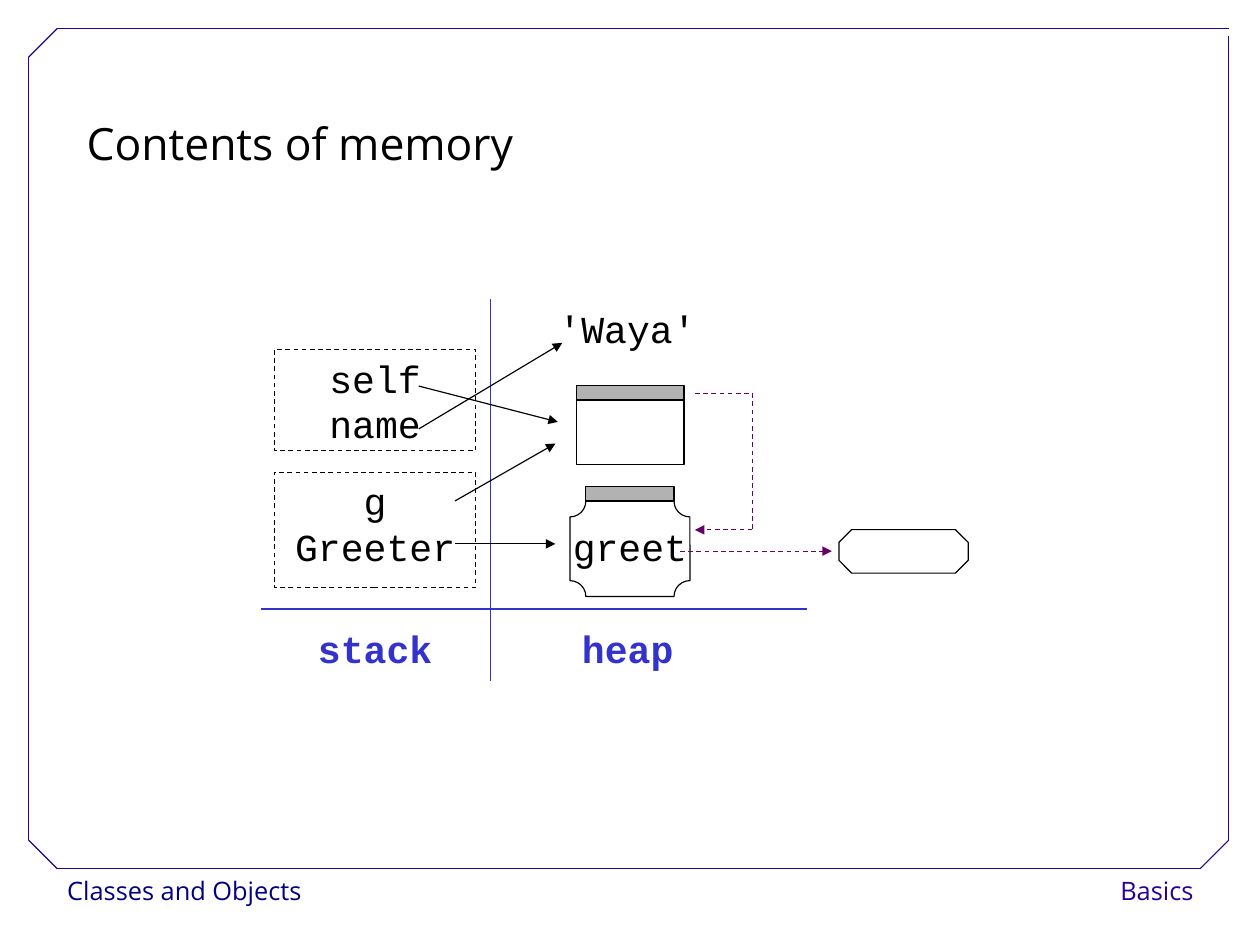
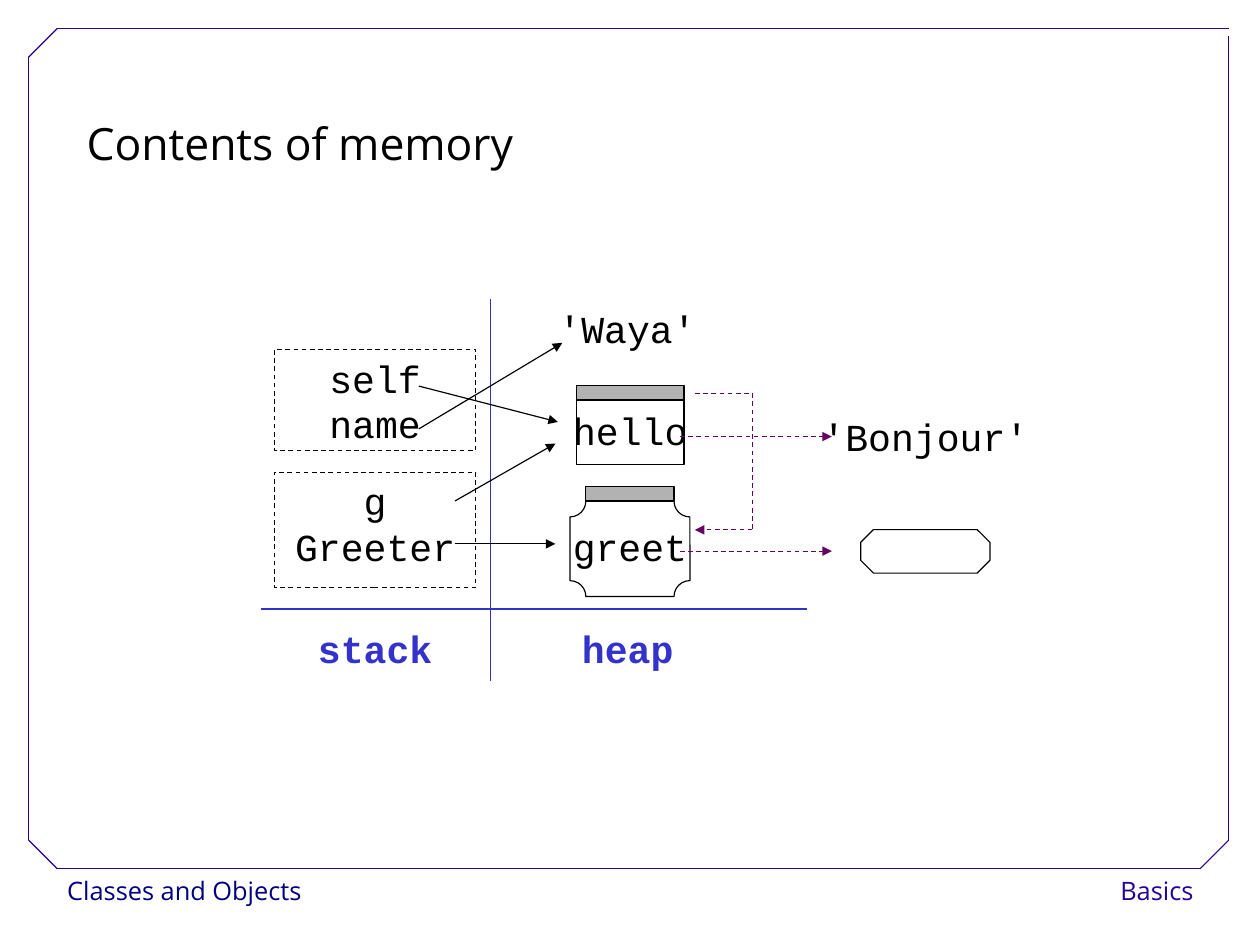
from itertools import pairwise

from pptx import Presentation
from pptx.dml.color import RGBColor
from pptx.enum.dml import MSO_LINE
from pptx.enum.shapes import MSO_CONNECTOR, MSO_SHAPE
from pptx.enum.text import MSO_ANCHOR, PP_ALIGN
from pptx.oxml.ns import qn
from pptx.util import Pt
from lxml.etree import SubElement

# Shared look
BLACK, GREY = "000000", "B2B2B2"
NAVY, INDIGO, BLUE, PURPLE = "000080", "280099", "3333CC", "660066"
SANS, MONO = "Open Sans", "Courier New"
LINE_WIDTH = 0.75

# Frame edges and the size of its cut corners
LEFT, TOP, RIGHT, BOTTOM, CUT = 18, 18, 774, 547.2, 18

# Columns of the memory diagram
STACK_LEFT, STACK_WIDTH = 172.8, 127
HEAP_LEFT = 331.9
LINK_START, LINK_END = 428.4, 524


def color(hex_string):
    return RGBColor.from_string(hex_string)


def write(shape, text, size=24, font=MONO, ink=BLACK, bold=False, spacing=1.0,
          align=PP_ALIGN.CENTER, anchor=MSO_ANCHOR.TOP, wrap=False):
    """Fill a shape with text, one paragraph per line."""
    frame = shape.text_frame
    frame.word_wrap = wrap
    frame.vertical_anchor = anchor
    frame.text = text
    for paragraph in frame.paragraphs:
        paragraph.alignment = align
        paragraph.line_spacing = spacing
        paragraph.font.size = Pt(size)
        paragraph.font.name = font
        paragraph.font.bold = bold
        paragraph.font.color.rgb = color(ink)


def label(slide, text, left, top, width, height, **text_format):
    box = slide.shapes.add_textbox(Pt(left), Pt(top), Pt(width), Pt(height))
    write(box, text, **text_format)


def outline(slide, preset, left, top, width, height, fill=None, dashed=False):
    shape = slide.shapes.add_shape(preset, Pt(left), Pt(top), Pt(width), Pt(height))
    shape.shadow.inherit = False
    if fill:
        shape.fill.solid()
        shape.fill.fore_color.rgb = color(fill)
    else:
        shape.fill.background()
    shape.line.color.rgb = color(BLACK)
    shape.line.width = Pt(LINE_WIDTH)
    if dashed:
        shape.line.dash_style = MSO_LINE.DASH
    return shape


def line(slide, start, end, ink=BLACK, dashed=False, arrow=False):
    connector = slide.shapes.add_connector(
        MSO_CONNECTOR.STRAIGHT, *(Pt(value) for value in (*start, *end)))
    connector.line.color.rgb = color(ink)
    connector.line.width = Pt(LINE_WIDTH)
    if dashed:
        connector.line.dash_style = MSO_LINE.DASH
    properties = connector._element.spPr
    if arrow:
        SubElement(properties.find(qn("a:ln")), qn("a:tailEnd"), type="triangle")
    SubElement(properties, qn("a:effectLst"))


def page(deck, title):
    """Add a slide with footers, cut-corner frame and title."""
    slide = deck.slides.add_slide(deck.slide_layouts[6])
    label(slide, "Classes and Objects", 35.3, 547.2, 180, 28.8, size=16, font=SANS,
          ink=NAVY, spacing=1.02, align=PP_ALIGN.LEFT, wrap=True)
    label(slide, "Basics", 658.1, 547.2, 100.8, 28.8, size=16, font=SANS,
          ink=INDIGO, spacing=1.02, align=PP_ALIGN.RIGHT, wrap=True)

    # The frame stays open at the top right corner
    corners = [(RIGHT, TOP), (LEFT + CUT, TOP), (LEFT, TOP + CUT),
               (LEFT, BOTTOM - CUT), (LEFT + CUT, BOTTOM),
               (RIGHT - CUT, BOTTOM), (RIGHT, BOTTOM - CUT), (RIGHT, TOP + 5)]
    for start, end in pairwise(corners):
        line(slide, start, end, ink=INDIGO)

    label(slide, title, 47.5, 52.6, 680.4, 57.6, size=28, font=SANS,
          spacing=1.5, align=PP_ALIGN.LEFT, wrap=True)
    return slide


def attribute_link(slide, y):
    line(slide, (LINK_START, y), (LINK_END, y), ink=PURPLE, dashed=True, arrow=True)


def capped_object(slide, preset, body, cap, name=None):
    """Draw an object in the heap: a body under a grey cap."""
    shape = outline(slide, preset, *body)
    if name:
        write(shape, name, spacing=0.93, anchor=MSO_ANCHOR.MIDDLE)
    outline(slide, MSO_SHAPE.RECTANGLE, *cap, fill=GREY)


def memory(slide, method_left, attribute=None, value=None):
    """Draw stack and heap, with the instance's attribute if it has one."""
    # Instance, class and method
    capped_object(slide, MSO_SHAPE.RECTANGLE, (363.2, 252, 67.7, 40.8),
                  (363.2, 242.9, 67.7, 9.1), attribute)
    capped_object(slide, MSO_SHAPE.PLAQUE, (359, 315.6, 75.6, 60.2),
                  (369, 306.5, 55.6, 9.1), "greet")
    attribute_link(slide, 347.2)
    outline(slide, MSO_SHAPE.OCTAGON, method_left, 333.6, 81.4, 27.4)

    # Axes and their names
    line(slide, (164.2, 383.6), (508.6, 383.6), ink=BLUE)
    line(slide, (308.9, 188.6), (308.9, 429.1), ink=BLUE)
    for region, left in (("stack", STACK_LEFT), ("heap", HEAP_LEFT)):
        label(slide, region, left, 393.1, STACK_WIDTH, 36,
              ink=BLUE, bold=True, spacing=0.93)

    # Stack frames
    for names, top, height in (("g\nGreeter", 297.4, 72.7), ("self\nname", 220.1, 63.7)):
        frame = outline(slide, MSO_SHAPE.RECTANGLE, STACK_LEFT, top,
                        STACK_WIDTH, height, dashed=True)
        write(frame, names)

    # References from the stack into the heap
    label(slide, "'Waya'", 340.6, 188.6, 108.7, 31.7)
    for start, end in (((286.6, 315.6), (349.9, 279.4)),
                       ((286.6, 342.6), (349.9, 342.6)),
                       ((263.8, 243.2), (351.4, 265.8)),
                       ((263.8, 270.2), (354.2, 216))):
        line(slide, start, end, arrow=True)

    # Attribute value
    if value:
        attribute_link(slide, 275)
        label(slide, value, 502.9, 257, 160, 31.7)

    # Link from the instance to its class
    bend = [(437.8, 247.7), (474, 247.7), (474, 333.8), (437.8, 333.8)]
    for start, end in pairwise(bend):
        line(slide, start, end, ink=PURPLE, dashed=True, arrow=end == bend[-1])


def main():
    deck = Presentation()
    deck.slide_width, deck.slide_height = Pt(793.7), Pt(595.28)
    memory(page(deck, "Contents of memory"), 528.5)
    memory(page(deck, "Contents of memory"), 542.2, "hello", "'Bonjour'")
    deck.save("out.pptx")


if __name__ == "__main__":
    main()
